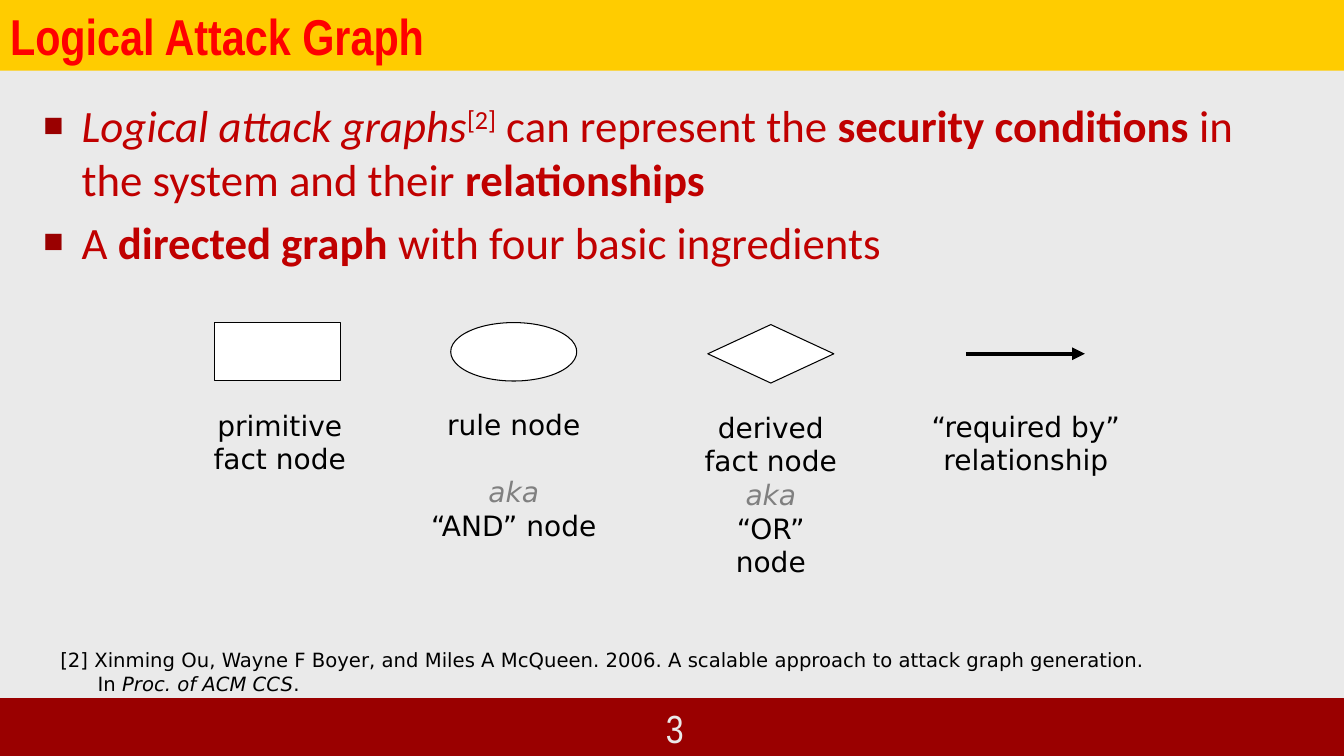
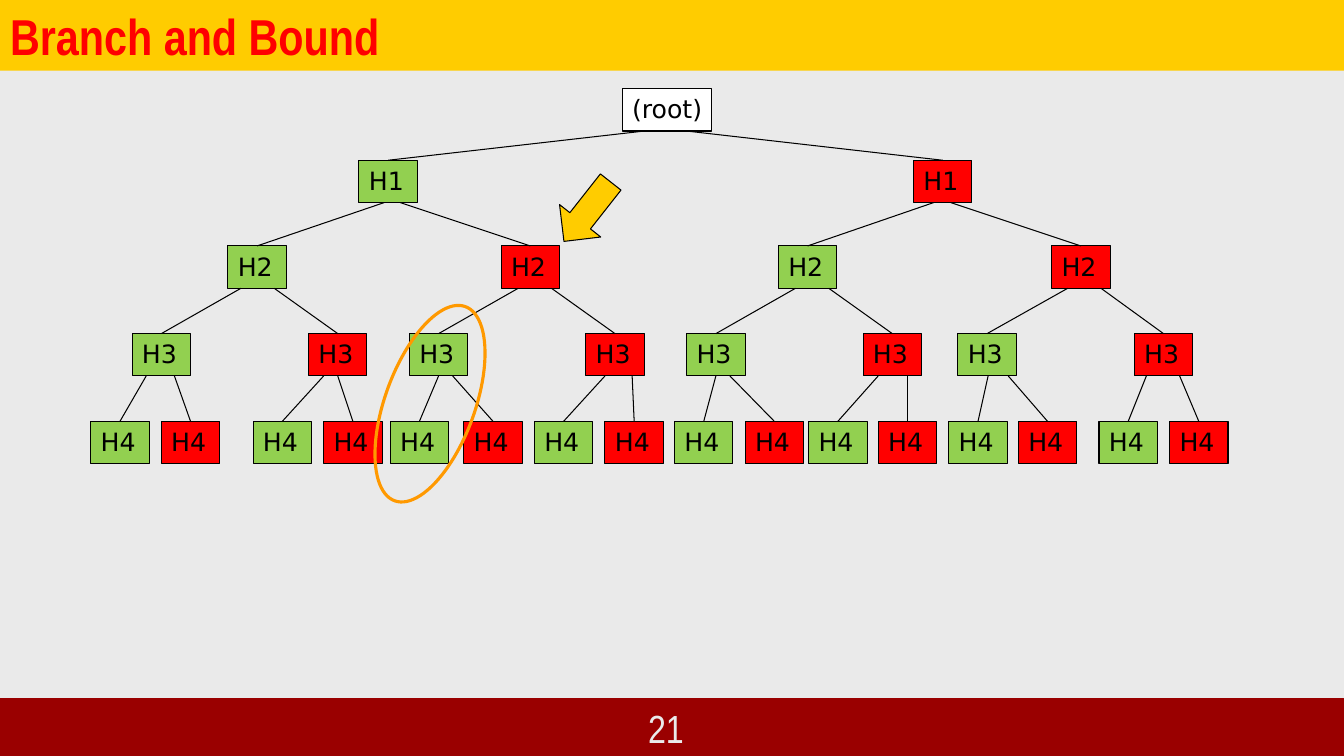
from lxml import etree
from pptx import Presentation
from pptx.dml.color import RGBColor
from pptx.enum.shapes import MSO_CONNECTOR, MSO_SHAPE
from pptx.enum.text import MSO_ANCHOR, MSO_AUTO_SIZE, PP_ALIGN
from pptx.oxml.ns import qn
from pptx.util import Inches, Pt

RECT = MSO_SHAPE.RECTANGLE
OVAL = MSO_SHAPE.OVAL
DIAMOND = MSO_SHAPE.DIAMOND
ARROW = MSO_SHAPE.RIGHT_ARROW
STRAIGHT = MSO_CONNECTOR.STRAIGHT
TOP, BOTTOM = MSO_ANCHOR.TOP, MSO_ANCHOR.BOTTOM
LEFT, CENTER, RIGHT = PP_ALIGN.LEFT, PP_ALIGN.CENTER, PP_ALIGN.RIGHT
FIXED = MSO_AUTO_SIZE.NONE

PAPER = RGBColor(0xEA, 0xEA, 0xEA)
MAROON = RGBColor(0x9A, 0x00, 0x00)
GOLD = RGBColor(0xFF, 0xCC, 0x00)
RED = RGBColor(0xFF, 0x00, 0x00)
BRICK = RGBColor(0xC0, 0x00, 0x00)
GREEN = RGBColor(0x92, 0xD0, 0x50)
ORANGE = RGBColor(0xFF, 0x99, 0x00)
GRAY = RGBColor(0x80, 0x80, 0x80)
WHITE = RGBColor(0xFF, 0xFF, 0xFF)
BLACK = RGBColor(0x00, 0x00, 0x00)

NARROW, BODY, SANS = "Arial Narrow", "Calibri", "DejaVu Sans"
NODE_W, NODE_H = 0.58, 0.42
AKA = ("aka", {"italic": True, "color": GRAY})
BOLD = {"bold": True}

LEVELS = [
    ("H1", 1.59, [3.56, 9.06], [6.39, 6.81]),
    ("H2", 2.44, [2.26, 4.97, 7.72, 10.43], [3.81, 3.97, 9.26, 9.43]),
    ("H3", 3.31, [1.31, 3.06, 4.06, 5.81, 6.81, 8.56, 9.5, 11.25],
     [2.39, 2.72, 5.14, 5.47, 7.89, 8.22, 10.59, 10.92]),
    ("H4", 4.18,
     [0.9, 1.6, 2.51, 3.21, 3.87, 4.6, 5.3, 6,
      6.69, 7.39, 8.02, 8.71, 9.41, 10.1, 10.9, 11.6],
     [1.45, 1.73, 3.21, 3.35, 4.35, 4.49, 6, 6.27,
      7.1, 7.24, 8.71, 9, 9.8, 10, 11.37, 11.7]),
]


def text(frame, paras, font=SANS, size=20, color=BLACK, bold=False,
         align=LEFT, anchor=TOP, wrap=False):
    frame.auto_size = FIXED
    frame.word_wrap = wrap
    frame.vertical_anchor = anchor
    for i, runs in enumerate(paras):
        para = frame.add_paragraph() if i else frame.paragraphs[0]
        para.alignment = align
        for item in runs:
            words, style = (item, {}) if isinstance(item, str) else item
            run = para.add_run()
            run.text = words
            run.font.name = font
            run.font.size = Pt(size)
            run.font.bold = style.get("bold", bold)
            run.font.italic = style.get("italic", False)
            run.font.color.rgb = style.get("color", color)
            if "raised" in style:
                run.font._element.set("baseline", str(style["raised"] * 1000))


def place(shape, at):
    shape.left, shape.top, shape.width, shape.height = map(Inches, at)


def box(slide, kind, at, fill=None, line=BLACK, weight=0.75):
    shape = slide.shapes.add_shape(kind, *map(Inches, at))
    shape.shadow.inherit = False
    if fill is None:
        shape.fill.background()
    else:
        shape.fill.solid()
        shape.fill.fore_color.rgb = fill
    shape.line.color.rgb = line
    shape.line.width = Pt(weight)
    return shape


def label(slide, at, paras, **style):
    frame = slide.shapes.add_textbox(*map(Inches, at)).text_frame
    text(frame, paras, **style)
    return frame


def link(slide, start, end, weight=0.75, head=False):
    line = slide.shapes.add_connector(STRAIGHT, *map(Inches, start + end))
    line.line.color.rgb = BLACK
    line.line.width = Pt(weight)
    if head:
        tail = etree.SubElement(line.line._get_or_add_ln(), qn("a:tailEnd"))
        tail.set("type", "triangle")
    etree.SubElement(line._element.spPr, qn("a:effectLst"))
    return line


def bullet(para):
    props = para._p.get_or_add_pPr()
    props.set("marL", str(Inches(0.38)))
    props.set("indent", str(-Inches(0.38)))
    space = etree.SubElement(props, qn("a:spcBef"))
    etree.SubElement(space, qn("a:spcPct")).set("val", "20000")
    tint = etree.SubElement(props, qn("a:buClr"))
    etree.SubElement(tint, qn("a:srgbClr")).set("val", str(MAROON))
    etree.SubElement(props, qn("a:buSzPct")).set("val", "75000")
    etree.SubElement(props, qn("a:buFont")).set("typeface", "Arial")
    etree.SubElement(props, qn("a:buChar")).set("char", "■")


def set_master(deck, slide):
    master = deck.slide_master
    master.background.fill.solid()
    master.background.fill.fore_color.rgb = PAPER
    band = box(slide, RECT, (0, 6.93, 13.33, 0.57), MAROON, MAROON)
    master.shapes.element.insert(2, band._element)


def add_slide(deck, layout, title, number):
    slide = deck.slides.add_slide(deck.slide_layouts[layout])
    head = slide.shapes.title
    place(head, (0, 0, 13.33, 0.7))
    head.fill.solid()
    head.fill.fore_color.rgb = GOLD
    text(head.text_frame, [[title]], font=NARROW, size=36, color=RED,
         bold=True, anchor=BOTTOM, wrap=True)
    page = box(slide, RECT, (5.44, 6.95, 1.44, 0.55), MAROON, MAROON)
    text(page.text_frame, [[number]], font=NARROW, size=28, color=PAPER,
         align=RIGHT, anchor=BOTTOM, wrap=True)
    return slide


def fill_graph(slide):
    body = slide.placeholders[1]
    place(body, (0.33, 0.92, 12.67, 5.75))
    text(body.text_frame, [
        [("Logical attack graphs", {"italic": True}), ("[2]", {"raised": 30}),
         " can represent the ", ("security conditions", BOLD),
         " in the system and their ", ("relationships", BOLD)],
        ["A ", ("directed graph", BOLD), " with four basic ingredients"],
    ], font=BODY, size=32, color=BRICK, wrap=True)
    for para in body.text_frame.paragraphs:
        bullet(para)

    for kind, left, top in ((RECT, 2.13, 3.2), (DIAMOND, 7.02, 3.22),
                            (OVAL, 4.47, 3.2)):
        box(slide, kind, (left, top, 1.25, 0.58), WHITE)
    link(slide, (9.58, 3.51), (10.76, 3.51), weight=3, head=True)

    label(slide, (2.02, 4, 1.51, 0.77), [["primitive"], ["fact node"]],
          align=CENTER)
    label(slide, (6.82, 4.02, 1.65, 1.45),
          [["derived"], ["fact node"], [AKA], ["“OR”"], ["node"]],
          align=CENTER)
    rule = label(slide, (4.17, 3.99, 1.85, 1.45),
                 [["rule node"], [AKA], ["“AND” node"]], align=CENTER)
    rule.paragraphs[1].space_before = Pt(24)
    label(slide, (9.14, 4.01, 2.07, 0.77),
          [["“required by”"], ["relationship"]], align=CENTER)
    cite = label(slide, (0.5, 6.38, 11.14, 0.57), [
        ["[2] Xinming Ou, Wayne F Boyer, and Miles A McQueen. 2006. "
         "A scalable approach to attack graph generation."],
        ["In ", ("Proc. of ACM CCS", {"italic": True}), "."],
    ], size=14)
    cite.paragraphs[1]._p.get_or_add_pPr().set("marL", str(Inches(0.37)))


def node(slide, name, left, top, fill, width=NODE_W):
    shape = box(slide, RECT, (left, top, width, NODE_H), fill)
    text(shape.text_frame, [[name]], size=18)
    return shape


def fill_tree(slide):
    node(slide, "(root)", 6.17, 0.88, WHITE, width=0.89)
    base = 0.88 + NODE_H
    for name, top, lefts, ends in LEVELS:
        for i, (left, end) in enumerate(zip(lefts, ends)):
            child = node(slide, name, left, top, RED if i % 2 else GREEN)
            edge = link(slide, (left + NODE_W / 2, top), (end, base))
            edge.begin_connect(child, 0)
        base = top + NODE_H
    box(slide, ARROW, (5.45, 1.84, 0.75, 0.52), GOLD).rotation = 128.2
    ring = box(slide, OVAL, (3.82, 2.98, 0.89, 2.05), line=ORANGE, weight=2.25)
    ring.rotation = 20


def main():
    deck = Presentation()
    deck.slide_width, deck.slide_height = Inches(13.33), Inches(7.5)
    graph = add_slide(deck, 1, "Logical Attack Graph", "3")
    set_master(deck, graph)
    fill_graph(graph)
    fill_tree(add_slide(deck, 5, "Branch and Bound", "21"))
    deck.save("out.pptx")


if __name__ == "__main__":
    main()
